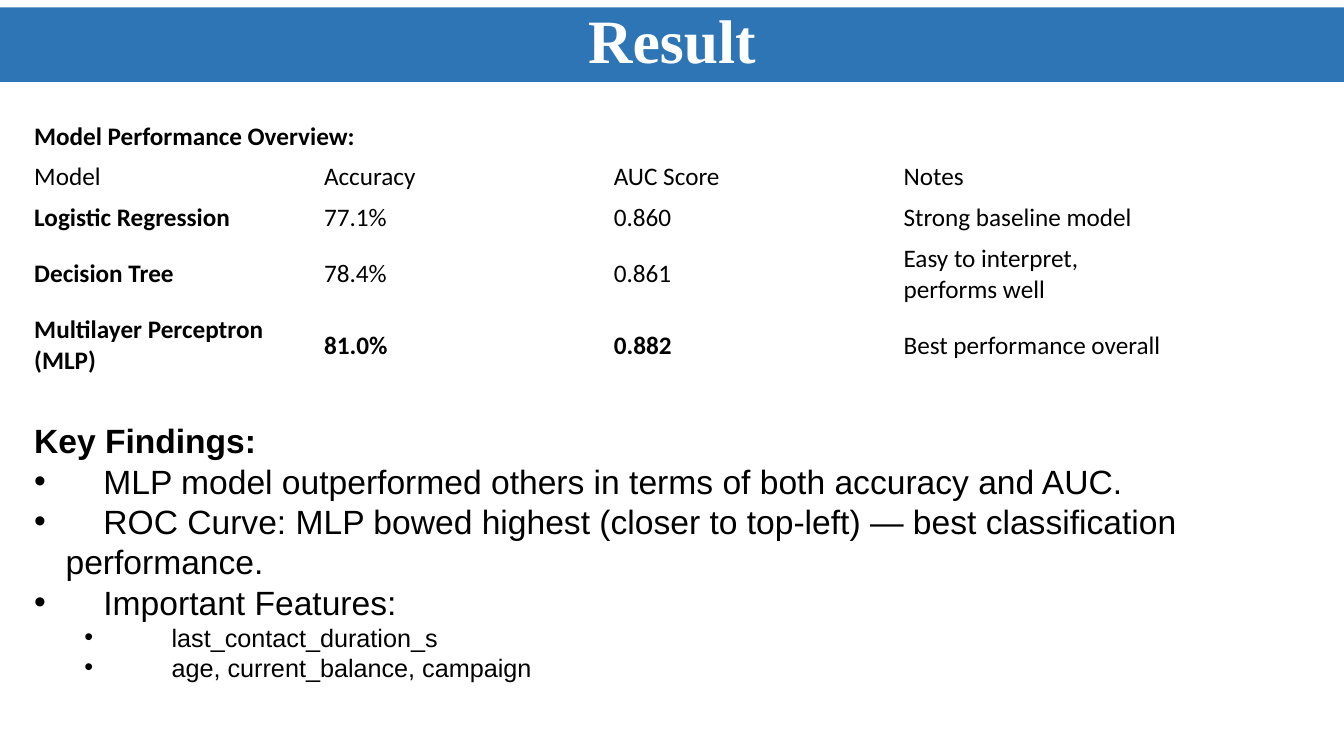
import dataclasses

import lxml.etree
import pptx
import pptx.dml.color
import pptx.enum.shapes
import pptx.enum.text
import pptx.util

PX = 9525
COLORS = {"banner": "2E75B6", "light": "FFFFFF", "ink": "000000"}
ANCHOR = pptx.enum.text.MSO_ANCHOR


@dataclasses.dataclass
class Box:
    left: int
    top: int
    width: int
    height: int

    def emu(self) -> list[int]:
        return [side * PX for side in dataclasses.astuple(self)]


@dataclasses.dataclass
class Style:
    face: str
    size: int
    bold: bool = False
    color: str = "ink"


@dataclasses.dataclass
class Bullet:
    level: int
    margin: int
    hang: int
    tab: int


@dataclasses.dataclass
class Item:
    text: str
    style: Style
    bullet: Bullet | None = None


@dataclasses.dataclass
class Row:
    height: int
    cells: list[str]
    bold: int = 0


HEAD = Style("Arial", 24, True)
BODY = Style("Arial", 24)
SMALL = Style("Arial", 18)
MAIN = Bullet(0, 30, 30, 66)
SUB = Bullet(1, 78, 30, 131)

FINDINGS = [
    Item("Key Findings:", HEAD),
    Item("MLP model outperformed others in terms of both accuracy and AUC.", BODY, MAIN),
    Item("ROC Curve: MLP bowed highest (closer to top-left) — best classification performance.", BODY, MAIN),
    Item("Important Features:", BODY, MAIN),
    Item("last_contact_duration_s", SMALL, SUB),
    Item("age, current_balance, campaign", SMALL, SUB),
]

ROWS = [
    Row(39, ["Model", "Accuracy", "AUC Score", "Notes"]),
    Row(39, ["Logistic Regression", "77.1%", "0.860", "Strong baseline model"], 1),
    Row(68, ["Decision Tree", "78.4%", "0.861", "Easy to interpret, performs well"], 1),
    Row(68, ["Multilayer Perceptron (MLP)", "81.0%", "0.882", "Best performance overall"], 3),
]


def paint(para, style: Style) -> None:
    font = para.font
    font.name = style.face
    font.size = pptx.util.Pt(style.size)
    font.bold = style.bold
    font.color.rgb = pptx.dml.color.RGBColor.from_string(COLORS[style.color])


def mark(para, bullet: Bullet) -> None:
    para.level = bullet.level
    props = para._p.get_or_add_pPr()
    props.set("marL", str(bullet.margin * PX))
    props.set("indent", str(-bullet.hang * PX))
    space = "{" + props.nsmap["a"] + "}"
    nodes = [lxml.etree.Element(space + tag) for tag in ("buFont", "buChar", "tabLst")]
    face, char, tabs = nodes
    face.set("typeface", "Arial")
    char.set("char", "•")
    stop = lxml.etree.SubElement(tabs, space + "tab")
    stop.set("pos", str(bullet.tab * PX))
    stop.set("algn", "l")
    for place, node in enumerate(nodes):
        props.insert(place, node)


def add_text(slide, box: Box, items: list[Item], anchor=ANCHOR.TOP) -> None:
    frame = slide.shapes.add_textbox(*box.emu()).text_frame
    frame.word_wrap = True
    frame.vertical_anchor = anchor
    for place, item in enumerate(items):
        para = frame.add_paragraph() if place else frame.paragraphs[0]
        para.text = "\t" + item.text if item.bullet else item.text
        paint(para, item.style)
        if item.bullet:
            mark(para, item.bullet)


def add_banner(slide, box: Box, title: str) -> None:
    kind = pptx.enum.shapes.MSO_SHAPE.RECTANGLE
    banner = slide.shapes.add_shape(kind, *box.emu())
    banner.shadow.inherit = False
    banner.fill.solid()
    banner.fill.fore_color.rgb = pptx.dml.color.RGBColor.from_string(COLORS["banner"])
    banner.line.fill.background()
    frame = banner.text_frame
    frame.vertical_anchor = ANCHOR.BOTTOM
    para = frame.paragraphs[0]
    para.text = title
    para.alignment = pptx.enum.text.PP_ALIGN.CENTER
    para.line_spacing = 0.9
    paint(para, Style("Times New Roman", 44, True, "light"))


def add_grid(slide, box: Box, rows: list[Row]) -> None:
    count = len(rows[0].cells)
    table = slide.shapes.add_table(len(rows), count, *box.emu()).table
    table.first_row = False
    table.horz_banding = False
    for line, row in enumerate(rows):
        table.rows[line].height = row.height * PX
        for place, text in enumerate(row.cells):
            cell = table.cell(line, place)
            cell.fill.background()
            cell.vertical_anchor = ANCHOR.MIDDLE
            para = cell.text_frame.paragraphs[0]
            para.text = text
            paint(para, Style("Calibri", 18, place < row.bold))


def main() -> None:
    deck = pptx.Presentation()
    deck.slide_width = 1280 * PX
    deck.slide_height = 720 * PX
    slide = deck.slides.add_slide(deck.slide_layouts[6])
    add_banner(slide, Box(0, 7, 1280, 71), "Result")
    add_grid(slide, Box(23, 149, 1104, 214), ROWS)
    add_text(slide, Box(23, 391, 1237, 268), FINDINGS, ANCHOR.MIDDLE)
    label = Item("Model Performance Overview:", Style("Calibri", 18, True))
    add_text(slide, Box(23, 110, 640, 38), [label])
    deck.save("out.pptx")


if __name__ == "__main__":
    main()
